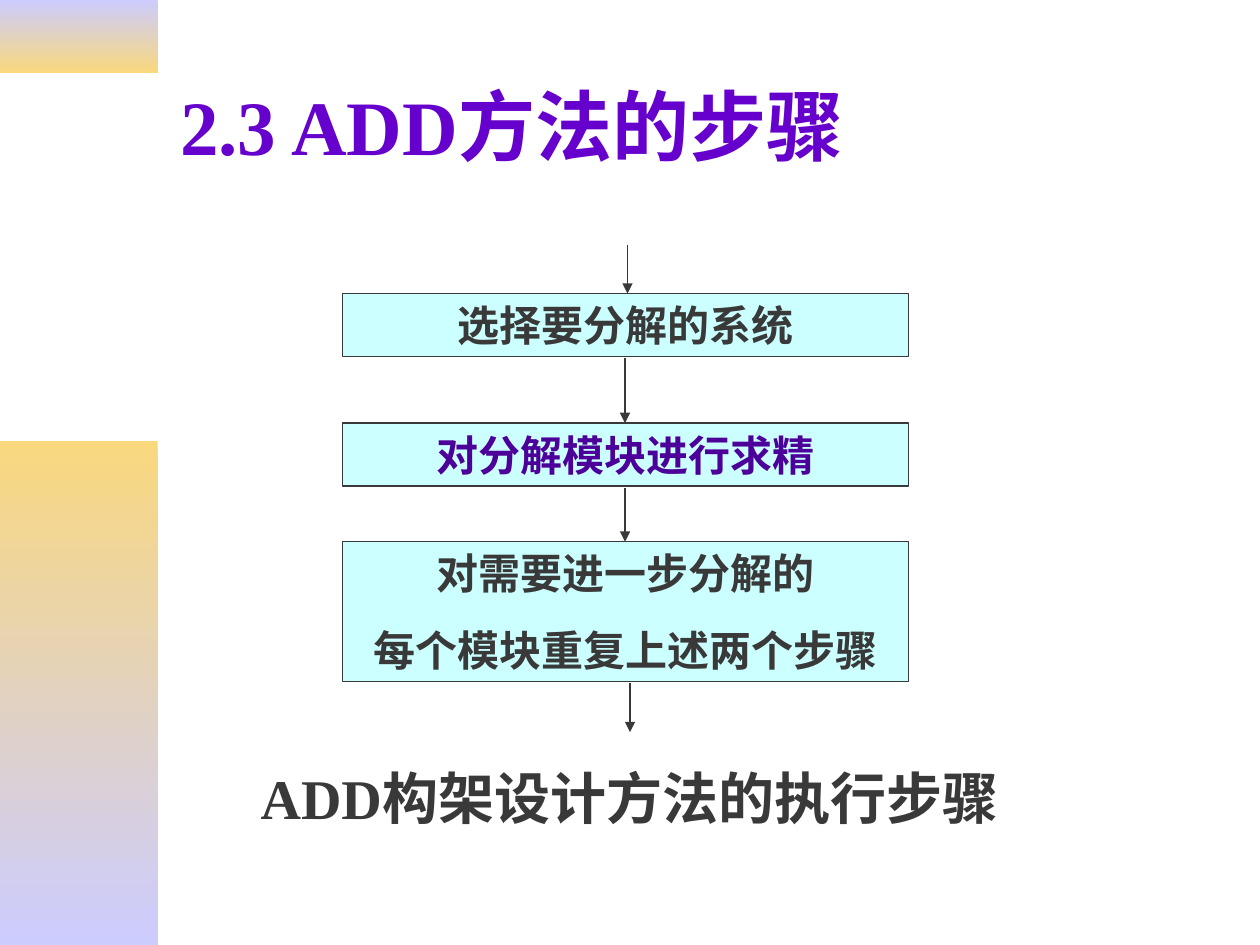
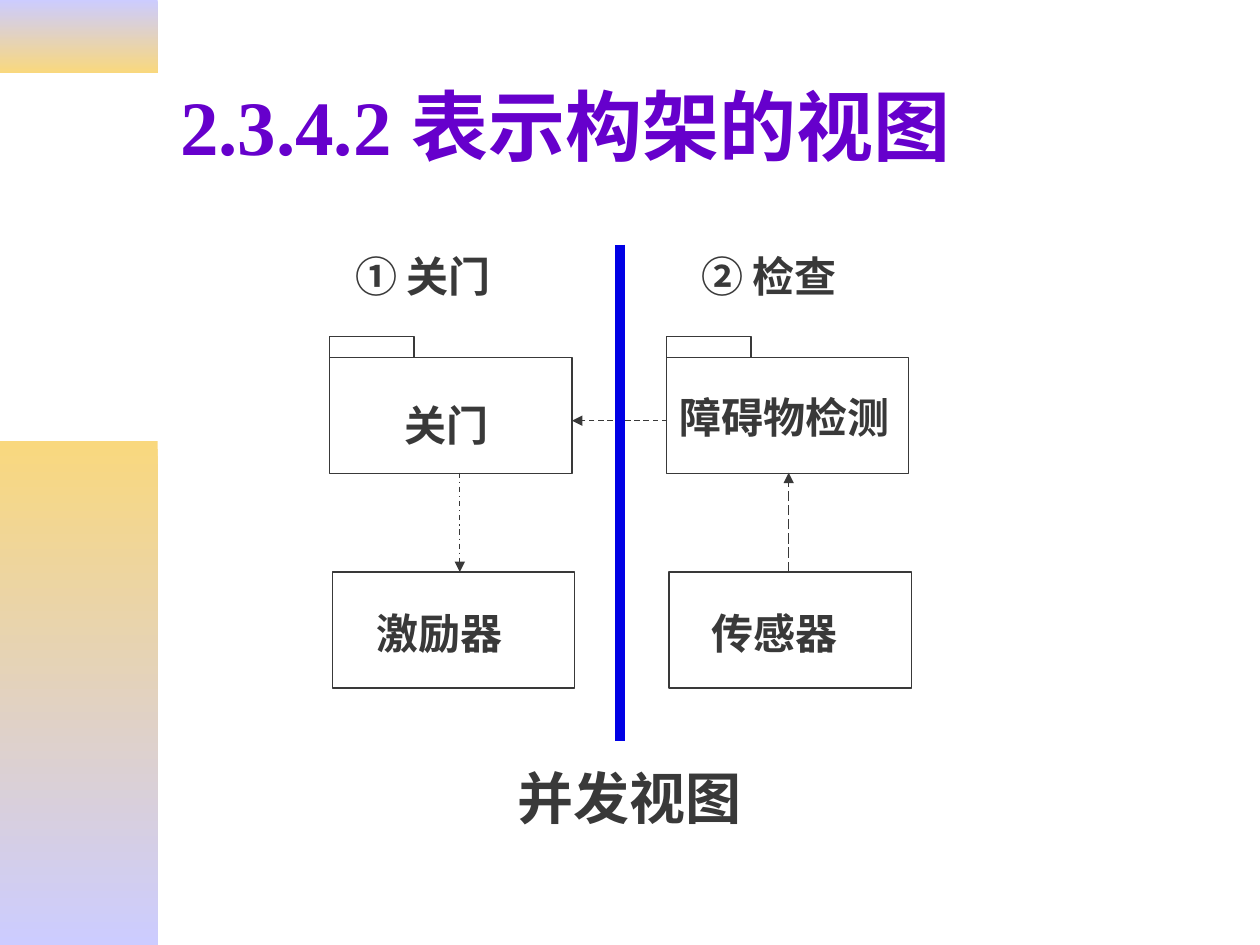
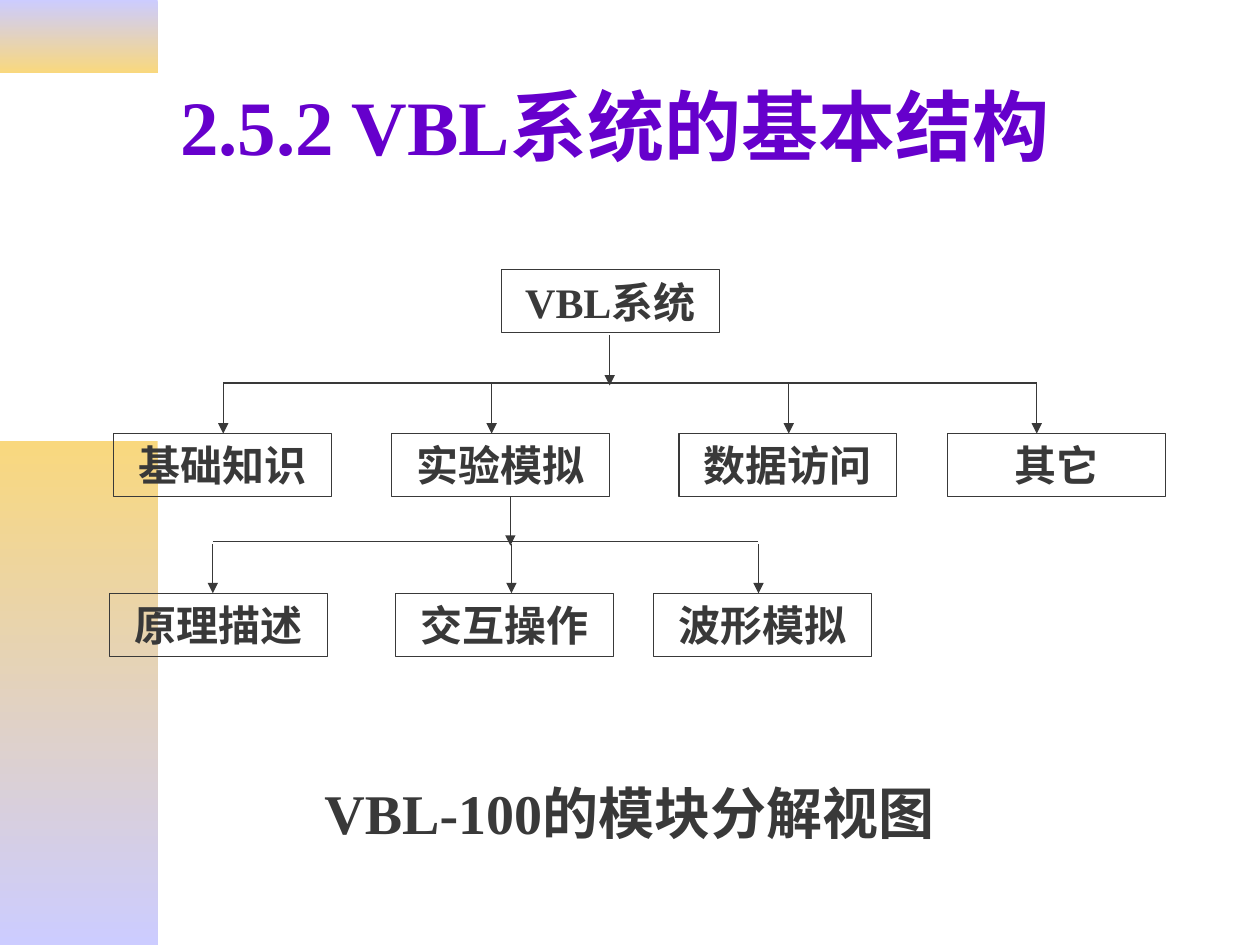
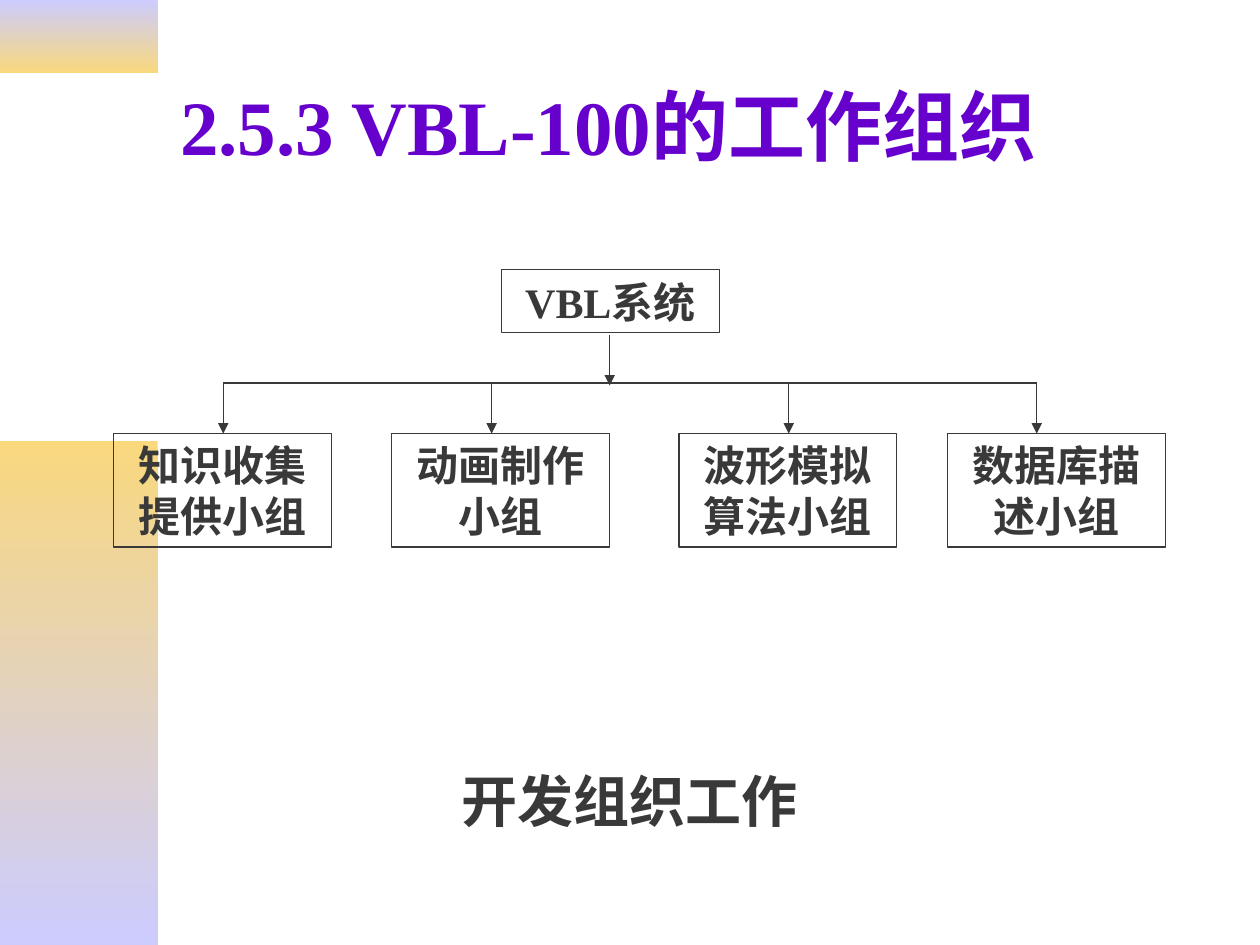
from pptx import Presentation
from pptx.dml.color import RGBColor
from pptx.enum.dml import MSO_LINE
from pptx.enum.shapes import MSO_CONNECTOR, MSO_SHAPE
from pptx.enum.text import MSO_ANCHOR, MSO_AUTO_SIZE, PP_ALIGN
from pptx.oxml.ns import qn
from pptx.oxml.xmlchemy import OxmlElement
from pptx.util import Cm, Pt

LATIN, CJK = "Times New Roman", "Noto Sans CJK SC"
PURPLE, DEEP_PURPLE, INK = "6600CC", "4D0099", "393939"
LILAC, GOLD, AQUA, BLUE = "CCCCFF", "F9D87E", "CCFFFF", "0000E5"

BANDS = [(0, 1.47, LILAC, GOLD), (8.89, 10.16, GOLD, LILAC)]
BAND_W = 3.18
LINE_H = 1.27

STEP_X, STEP_W = 6.91, 11.4
STEPS = [
    (5.92, LINE_H, INK, ["选择要分解的系统"]),
    (8.53, LINE_H, DEEP_PURPLE, ["对分解模块进行求精"]),
    (10.92, 2.82, INK, ["对需要进一步分解的", "每个模块重复上述两个步骤"]),
]
STEP_ARROWS = [(12.65, 4.93, 5.92), (12.6, 7.21, 8.53),
               (12.6, 9.83, 10.92), (12.7, 13.77, 14.76)]

BLOCK_W, BLOCK_H = 4.88, 2.34
PACKAGE_Y, TAB_W, TAB_H = 7.21, 1.7, 0.43
PACKAGE_XS = [6.65, 13.44]
DEVICE_Y = 11.53
DEVICE_XS = [6.71, 13.49]
VIEW_LABELS = [
    ("① 关门", 6.91, 4.93, 3.78, LATIN),
    ("② 检查", 13.89, 4.93, 3.61, CJK),
    ("关门", 7.9, 7.92, 2.79, LATIN),
    ("障碍物检测", 13.44, 7.77, 4.88, LATIN),
    ("激励器", 7.34, 12.12, 3.38, LATIN),
    ("传感器", 14.1, 12.12, 3.38, LATIN),
]
VIEW_ARROWS = [
    (13.44, 8.48, 11.53, 8.48, MSO_LINE.DASH),
    (15.9, DEVICE_Y, 15.9, 9.53, MSO_LINE.LONG_DASH),
    (9.27, 9.53, 9.27, DEVICE_Y, MSO_LINE.DASH_DOT),
]
DIVIDER = (12.5, 4.93, 12.5, 14.94)

NODE_W = 4.39
ROOT = ("VBL系统", 10.11, 5.44)
TOP_LEVEL = dict(stem=(12.29, 6.76, 7.77), bus=7.72, drop=7.72, top=8.74,
                 drops=[4.5, 9.91, 15.9, 20.9], lefts=[2.29, 7.9, 13.69, 19.1])
SUB_LEVEL = dict(stem=(10.29, 10.01, 11), bus=10.92, drop=10.97, top=11.96,
                 drops=[4.29, 10.31, 15.29], lefts=[2.21, 7.98, 13.18])
MODULES = ["基础知识", "实验模拟", "数据访问", "其它"]
SUBMODULES = ["原理描述", "交互操作", "波形模拟"]
TEAMS = ["知识收集提供小组", "动画制作小组", "波形模拟算法小组", "数据库描述小组"]


def rgb(color):
    return RGBColor.from_string(color)


def write(sp, lines, size, color=INK, font=LATIN, align=PP_ALIGN.CENTER,
          anchor=MSO_ANCHOR.TOP, spacing=None):
    tf = sp.text_frame
    tf.word_wrap = True
    tf.vertical_anchor = anchor
    for i, line in enumerate(lines):
        p = tf.add_paragraph() if i else tf.paragraphs[0]
        p.alignment = align
        if spacing:
            p.line_spacing = spacing
        if i:
            p.space_before = Pt(15)
        r = p.add_run()
        r.text = line
        r.font.size, r.font.bold, r.font.name = Pt(size), True, font
        r.font.color.rgb = rgb(color)
        ea = OxmlElement("a:ea")
        ea.set("typeface", CJK)
        r.font._element.append(ea)
    return tf


def add_text(s, text, x, y, w, h, size, **style):
    sp = s.shapes.add_textbox(Cm(x), Cm(y), Cm(w), Cm(h))
    return write(sp, [text], size, **style)


def add_box(s, x, y, w, h, lines=(), fill=None, color=INK):
    sp = s.shapes.add_shape(MSO_SHAPE.RECTANGLE, Cm(x), Cm(y), Cm(w), Cm(h))
    sp.shadow.inherit = False
    if fill:
        sp.fill.solid()
        sp.fill.fore_color.rgb = rgb(fill)
    else:
        sp.fill.background()
    sp.line.color.rgb = rgb(INK)
    sp.line.width = Pt(0.75)
    if lines:
        write(sp, lines, 24, color).auto_size = MSO_AUTO_SIZE.SHAPE_TO_FIT_TEXT


def add_line(s, x1, y1, x2, y2, color=INK, width=0.75, dash=None, arrow=True):
    cn = s.shapes.add_connector(MSO_CONNECTOR.STRAIGHT, Cm(x1), Cm(y1), Cm(x2), Cm(y2))
    cn.line.color.rgb = rgb(color)
    cn.line.width = Pt(width)
    if dash:
        cn.line.dash_style = dash
    sp_pr = cn._element.spPr
    if arrow:
        tail = OxmlElement("a:tailEnd")
        tail.set("type", "triangle")
        sp_pr.find(qn("a:ln")).append(tail)
    sp_pr.append(OxmlElement("a:effectLst"))


def add_slide(prs, title, caption, caption_y, caption_h, spacing=None):
    s = prs.slides.add_slide(prs.slide_layouts[6])
    for y, h, start, end in BANDS:
        sp = s.shapes.add_shape(MSO_SHAPE.RECTANGLE, 0, Cm(y), Cm(BAND_W), Cm(h))
        sp.shadow.inherit = False
        sp.line.fill.background()
        sp.fill.gradient()
        sp.fill.gradient_angle = 270
        for stop, color in zip(sp.fill.gradient_stops, (start, end)):
            stop.color.rgb = rgb(color)
    add_text(s, title, 3.38, 0.84, 21.59, 3.35, 44, color=PURPLE,
             align=PP_ALIGN.LEFT, anchor=MSO_ANCHOR.MIDDLE)
    add_text(s, caption, 1.9, caption_y, 21.59, caption_h, 32, spacing=spacing)
    return s


def add_level(s, names, level, h=LINE_H):
    x, y1, y2 = level["stem"]
    drops = level["drops"]
    add_line(s, x, y1, x, y2)
    add_line(s, drops[0], level["bus"], drops[-1], level["bus"], arrow=False)
    for name, left, drop in zip(names, level["lefts"], drops):
        add_box(s, left, level["top"], NODE_W, h, [name])
        add_line(s, drop, level["drop"], drop, level["top"])


def add_root(s):
    name, x, y = ROOT
    add_box(s, x, y, NODE_W, LINE_H, [name])


def build_steps(prs):
    s = add_slide(prs, "2.3 ADD方法的步骤", "ADD构架设计方法的执行步骤", 15.52, 1.4, 0.8)
    for y, h, color, lines in STEPS:
        add_box(s, STEP_X, y, STEP_W, h, lines, AQUA, color)
    for x, y1, y2 in STEP_ARROWS:
        add_line(s, x, y1, x, y2)


def build_view(prs):
    s = add_slide(prs, "2.3.4.2 表示构架的视图", "并发视图", 15.52, 1.4, 0.8)
    for x in PACKAGE_XS:
        add_box(s, x, PACKAGE_Y, BLOCK_W, BLOCK_H)
        add_box(s, x, PACKAGE_Y - TAB_H, TAB_W, TAB_H)
    for x in DEVICE_XS:
        add_box(s, x, DEVICE_Y, BLOCK_W, BLOCK_H)
    for x1, y1, x2, y2, dash in VIEW_ARROWS:
        add_line(s, x1, y1, x2, y2, dash=dash)
    add_line(s, *DIVIDER, color=BLUE, width=6, arrow=False)
    for text, x, y, w, font in VIEW_LABELS:
        add_text(s, text, x, y, w, LINE_H, 24, font=font, align=PP_ALIGN.LEFT)


def build_modules(prs):
    s = add_slide(prs, "2.5.2 VBL系统的基本结构", "VBL-100的模块分解视图", 15.72, 1.6, 0.9)
    add_root(s)
    add_level(s, MODULES, TOP_LEVEL)
    add_level(s, SUBMODULES, SUB_LEVEL)


def build_teams(prs):
    s = add_slide(prs, "2.5.3 VBL-100的工作组织", "开发组织工作", 15.32, 1.6)
    add_root(s)
    add_level(s, TEAMS, TOP_LEVEL, 2.29)


def main():
    prs = Presentation()
    prs.slide_width, prs.slide_height = Cm(25.4), Cm(19.05)
    for build in (build_steps, build_view, build_modules, build_teams):
        build(prs)
    prs.save("out.pptx")


if __name__ == "__main__":
    main()
